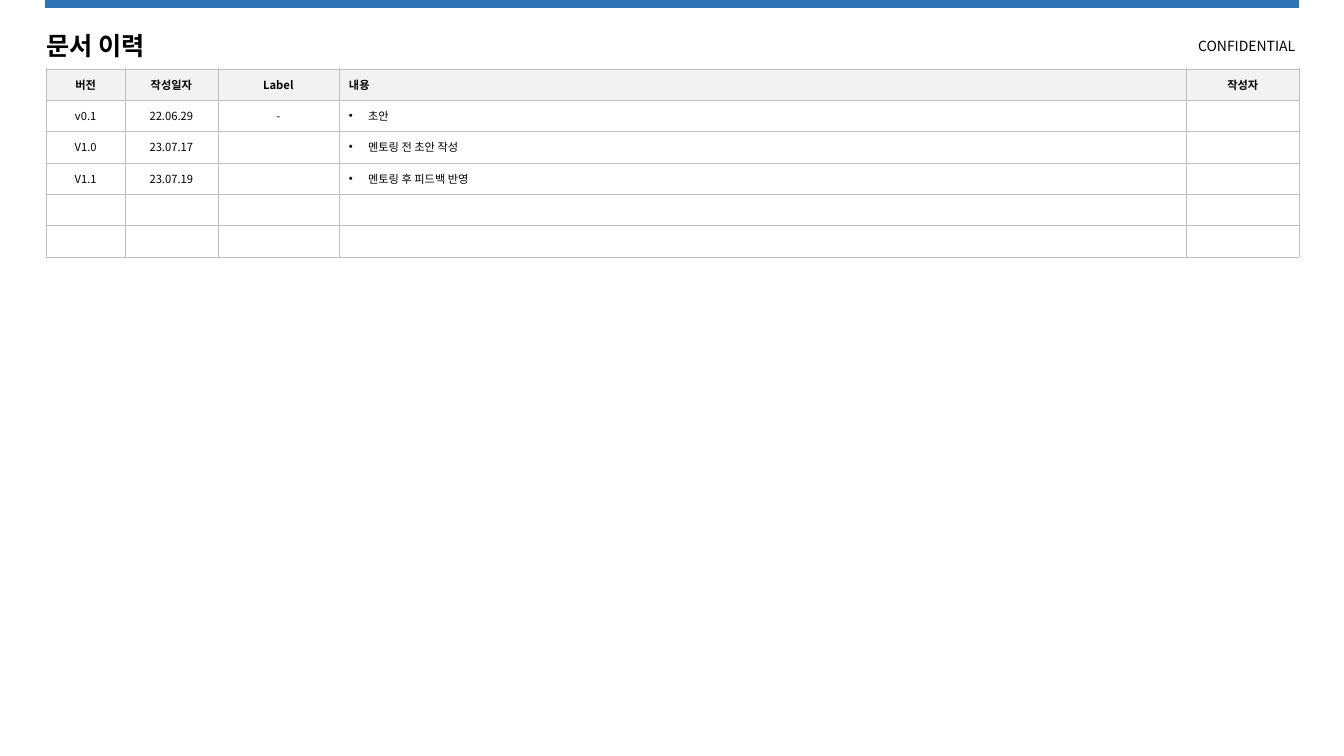
from lxml import etree
from pptx import Presentation
from pptx.dml.color import RGBColor
from pptx.enum.shapes import MSO_SHAPE
from pptx.enum.text import MSO_ANCHOR, PP_ALIGN
from pptx.oxml.ns import qn
from pptx.util import Cm, Pt

RECT = MSO_SHAPE.RECTANGLE
MIDDLE = MSO_ANCHOR.MIDDLE
LEFT, CENTER, RIGHT = PP_ALIGN.LEFT, PP_ALIGN.CENTER, PP_ALIGN.RIGHT
BLACK = RGBColor(0x00, 0x00, 0x00)
BLUE = RGBColor(0x2E, 0x75, 0xB6)
PALE = RGBColor(0xF2, 0xF2, 0xF2)
GRAY = RGBColor(0xBF, 0xBF, 0xBF)
FONT = "Noto Sans CJK KR"

WIDTHS = [1.98, 2.34, 3.05, 21.36, 2.84]
HEIGHT = 0.79
NOTE = 3
ROWS = [
    ["버전", "작성일자", "Label", "내용", "작성자"],
    ["v0.1", "22.06.29", "-", "초안", ""],
    ["V1.0", "23.07.17", "", "멘토링 전 초안 작성", ""],
    ["V1.1", "23.07.19", "", "멘토링 후 피드백 반영", ""],
    [""] * 5,
    [""] * 5,
]


def write(frame, text, size=8, bold=False, align=LEFT, space=1.0, bullet=False):
    """Put one formatted paragraph into a text frame."""
    para = frame.paragraphs[0]
    para.alignment = align
    para.line_spacing = space
    if not text:
        etree.SubElement(para._p, qn("a:endParaRPr"), sz=str(size * 100))
        return
    run = para.add_run()
    run.text = text
    font = run.font
    font.name, font.size, font.bold = FONT, Pt(size), bold
    font.color.rgb = BLACK
    etree.SubElement(font._element, qn("a:ea"), typeface=FONT)
    if bullet:
        props = para._p.get_or_add_pPr()
        indent = Cm(0.48)
        props.set("marL", str(indent))
        props.set("indent", str(-indent))
        etree.SubElement(props, qn("a:buFont"), typeface="Arial")
        etree.SubElement(props, qn("a:buChar"), char="•")


class Deck:
    """Hold the presentation, its current slide and the shared style."""

    def __init__(self):
        """Open a wide deck with one title-only slide."""
        self.show = Presentation()
        self.show.slide_width, self.show.slide_height = Cm(33.87), Cm(19.05)
        self.slide = self.show.slides.add_slide(self.show.slide_layouts[5])

    def title(self, text, left, top, width, height):
        """Place and fill the title."""
        head = self.slide.shapes.title
        head.left, head.top = Cm(left), Cm(top)
        head.width, head.height = Cm(width), Cm(height)
        head.text_frame.vertical_anchor = MIDDLE
        write(head.text_frame, text, size=18, bold=True, space=0.9)

    def label(self, text, left, top, width, height):
        """Add a right-aligned label."""
        box = self.slide.shapes.add_textbox(Cm(left), Cm(top), Cm(width), Cm(height))
        box.text_frame.word_wrap = True
        box.text_frame.vertical_anchor = MIDDLE
        write(box.text_frame, text, size=10, align=RIGHT, space=0.9)

    def bar(self, left, top, width, height):
        """Add a plain coloured bar."""
        bar = self.slide.shapes.add_shape(RECT, Cm(left), Cm(top), Cm(width), Cm(height))
        bar.shadow.inherit = False
        bar.fill.solid()
        bar.fill.fore_color.rgb = BLUE
        bar.line.fill.background()

    def edge(self, cell):
        """Draw thin lines on all sides of a cell."""
        props = cell._tc.get_or_add_tcPr()
        for side in ("lnL", "lnR", "lnT", "lnB"):
            line = etree.SubElement(props, qn(f"a:{side}"), w=str(Pt(0.25)))
            fill = etree.SubElement(line, qn("a:solidFill"))
            etree.SubElement(fill, qn("a:srgbClr"), val=str(GRAY))

    def table(self, rows, widths, left, top):
        """Add the table with a shaded head row and a bulleted note column."""
        grid = self.slide.shapes.add_table(
            len(rows), len(widths), Cm(left), Cm(top),
            Cm(sum(widths)), Cm(HEIGHT * len(rows))).table
        grid.first_row = grid.horz_banding = False
        for col, width in zip(grid.columns, widths):
            col.width = Cm(width)
        for r, row in enumerate(rows):
            grid.rows[r].height = Cm(HEIGHT)
            for c, text in enumerate(row):
                cell = grid.cell(r, c)
                cell.vertical_anchor = MIDDLE
                self.edge(cell)
                if r == 0:
                    cell.fill.solid()
                    cell.fill.fore_color.rgb = PALE
                else:
                    cell.fill.background()
                write(cell.text_frame, text, bold=r == 0,
                      align=LEFT if c == NOTE else CENTER,
                      bullet=r > 0 and c == NOTE)


def main():
    """Build and save the slide."""
    deck = Deck()
    deck.title("문서 이력", 0.91, 0.53, 20.85, 1.3)
    deck.table(ROWS, WIDTHS, 1.17, 1.73)
    deck.bar(1.14, 0, 31.6, 0.2)
    deck.label("CONFIDENTIAL", 29.46, 0.53, 3.43, 1.3)
    deck.show.save("out.pptx")


if __name__ == "__main__":
    main()
